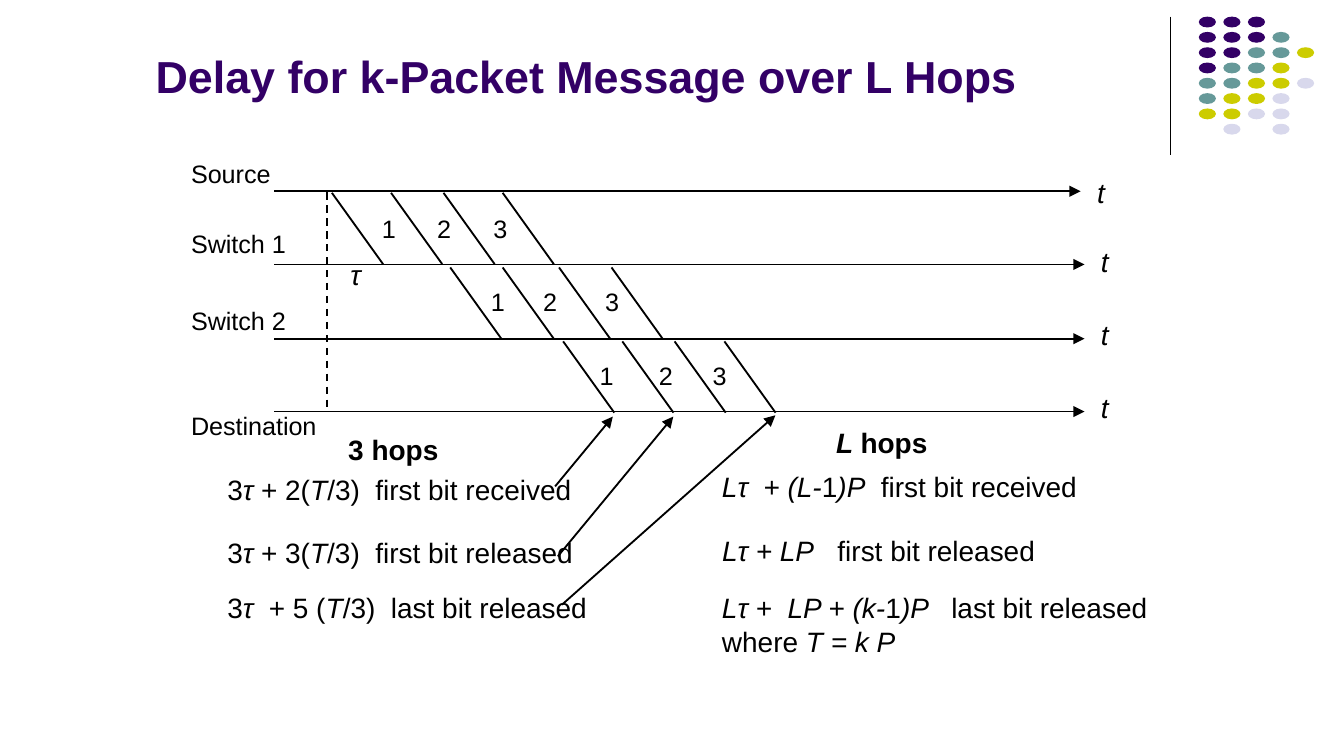
from dataclasses import dataclass

from lxml.etree import SubElement
from pptx import Presentation
from pptx.dml.color import RGBColor
from pptx.enum.dml import MSO_LINE
from pptx.enum.shapes import MSO_CONNECTOR, MSO_SHAPE
from pptx.enum.text import MSO_ANCHOR, MSO_AUTO_SIZE
from pptx.oxml.ns import qn
from pptx.util import Pt


@dataclass(frozen=True)
class Theme:
    font: str = "Arial"
    ink: str = "000000"
    purple: str = "330066"
    teal: str = "669999"
    yellow: str = "CCCC00"
    lilac: str = "D8D8EC"
    title: float = 24
    body: float = 15
    label: float = 13.5


theme = Theme()
deck = Presentation()
deck.slide_width, deck.slide_height = Pt(720), Pt(405)
slide = deck.slides.add_slide(deck.slide_layouts[6])


def write(text, left, top, width, height=23.8, size=theme.body, color=theme.ink,
          bold=False, wrap=False, inset=(5.2, 2.7), anchor=MSO_ANCHOR.TOP):
    box = slide.shapes.add_textbox(Pt(left), Pt(top), Pt(width), Pt(height))
    frame = box.text_frame
    frame.word_wrap = wrap
    frame.auto_size = MSO_AUTO_SIZE.NONE if wrap else MSO_AUTO_SIZE.SHAPE_TO_FIT_TEXT
    frame.vertical_anchor = anchor
    frame.margin_left = frame.margin_right = Pt(inset[0])
    frame.margin_top = frame.margin_bottom = Pt(inset[1])
    for row, line in enumerate(text.split("\n")):
        paragraph = frame.add_paragraph() if row else frame.paragraphs[0]
        for part, words in enumerate(line.split("*")):
            if words:
                run = paragraph.add_run()
                run.text = words
                run.font.name, run.font.size = theme.font, Pt(size)
                run.font.bold, run.font.italic = bold, part % 2 == 1
                run.font.color.rgb = RGBColor.from_string(color)


def draw_line(x1, y1, x2, y2, width=1, arrow=False, dashed=False):
    line = slide.shapes.add_connector(MSO_CONNECTOR.STRAIGHT, Pt(x1), Pt(y1), Pt(x2), Pt(y2))
    line.line.color.rgb = RGBColor.from_string(theme.ink)
    line.line.width = Pt(width)
    if dashed:
        line.line.dash_style = MSO_LINE.DASH
    properties = line._element.spPr
    if arrow:
        SubElement(properties.find(qn("a:ln")), qn("a:tailEnd"), type="triangle")
    SubElement(properties, qn("a:effectLst"))


draw_line(627.1, 8.9, 627.1, 83, width=0.75)
dot_colors = {"P": theme.purple, "T": theme.teal, "Y": theme.yellow, "L": theme.lilac}
dot_rows = ["PPP", "PPPT", "PPTTY", "PTTY", "TTYYL", "TYYL", "YYLL", " L L"]
for row, codes in enumerate(dot_rows):
    for column, code in enumerate(codes):
        if code in dot_colors:
            dot = slide.shapes.add_shape(MSO_SHAPE.OVAL, Pt(642.2 + 13.15 * column),
                                         Pt(8.9 + 8.2 * row), Pt(9.2), Pt(5.8))
            dot.shadow.inherit = False
            dot.fill.solid()
            dot.fill.fore_color.rgb = RGBColor.from_string(dot_colors[code])
            dot.line.fill.background()

write("Delay for k-Packet Message over L Hops", 76.3, 7.2, 486.7, 51.1, size=theme.title,
      color=theme.purple, bold=True, wrap=True, inset=(7.2, 3.6), anchor=MSO_ANCHOR.BOTTOM)

nodes = [
    ("Source", 82.1, 54, 102.5, 578.9, 91.4),
    ("Switch 1", 119.5, 61.9, 141.7, 581, 128.2),
    ("Switch 2", 160.9, 61.9, 181.5, 581, 167.2),
    ("Destination", 217.4, 79.2, 220.5, 581, 206.6),
]
for node, label_top, label_width, axis_y, axis_end, time_top in nodes:
    draw_line(146.9, axis_y, axis_end, axis_y, arrow=True)
    write(node, 97.2, label_top, label_width, 21.6, size=theme.label)
    write("*t*", axis_end + 3.6, time_top, 15.1)

draw_line(175, 103, 175, 219.6, dashed=True)
write("*τ*", 180.6, 135.2, 20.9, inset=(7.2, 2.7))

hops = [
    (103.3, [177.8, 209.5, 237.6, 269.3], 111.6, [199.4, 229, 259.2]),
    (143.3, [241.2, 269.3, 299.5, 327.6], 150.8, [257.8, 285.8, 319]),
    (182.9, [301.7, 333.4, 361.4, 388.1], 190.4, [316.1, 347.8, 376.6]),
]
for slant_top, slant_starts, number_top, number_lefts in hops:
    for start in slant_starts:
        draw_line(start, slant_top, start + 27.4, slant_top + 38.2)
    for packet, left in enumerate(number_lefts, 1):
        write(str(packet), left, number_top, 18.7, 21.6, size=theme.label)

arrivals = [(297.4, 260.6, 328.3, 223.2), (298.8, 298.1, 360.7, 223.2), (301, 324, 415.4, 222.5)]
for arrival in arrivals:
    draw_line(*arrival, arrow=True)

write("3 hops", 181.4, 229, 59.8, bold=True)
write("*L *hops", 442.8, 225.4, 59.8, bold=True)

formulas = [
    ("3*τ* + 2(*T*/3)  first bit received", 116.6, 250.6, 198),
    ("3*τ* + 3(*T*/3)  first bit released", 116.6, 284.4, 198.7),
    ("3*τ*  + 5 (*T*/3)  last bit released", 116.6, 313.9, 206.6),
    ("*Lτ  + (L-*1*)P*  first bit received", 381.6, 249.1, 203.8),
    ("*Lτ + LP*   first bit released", 381.6, 283, 181.4),
    ("*Lτ +  LP + (k-*1*)P  * last bit released\nwhere *T = k P*", 381.6, 313.9, 241.9),
]
for formula, left, top, width in formulas:
    write(formula, left, top, width, height=23.8 + 18 * formula.count("\n"))

deck.save("out.pptx")
